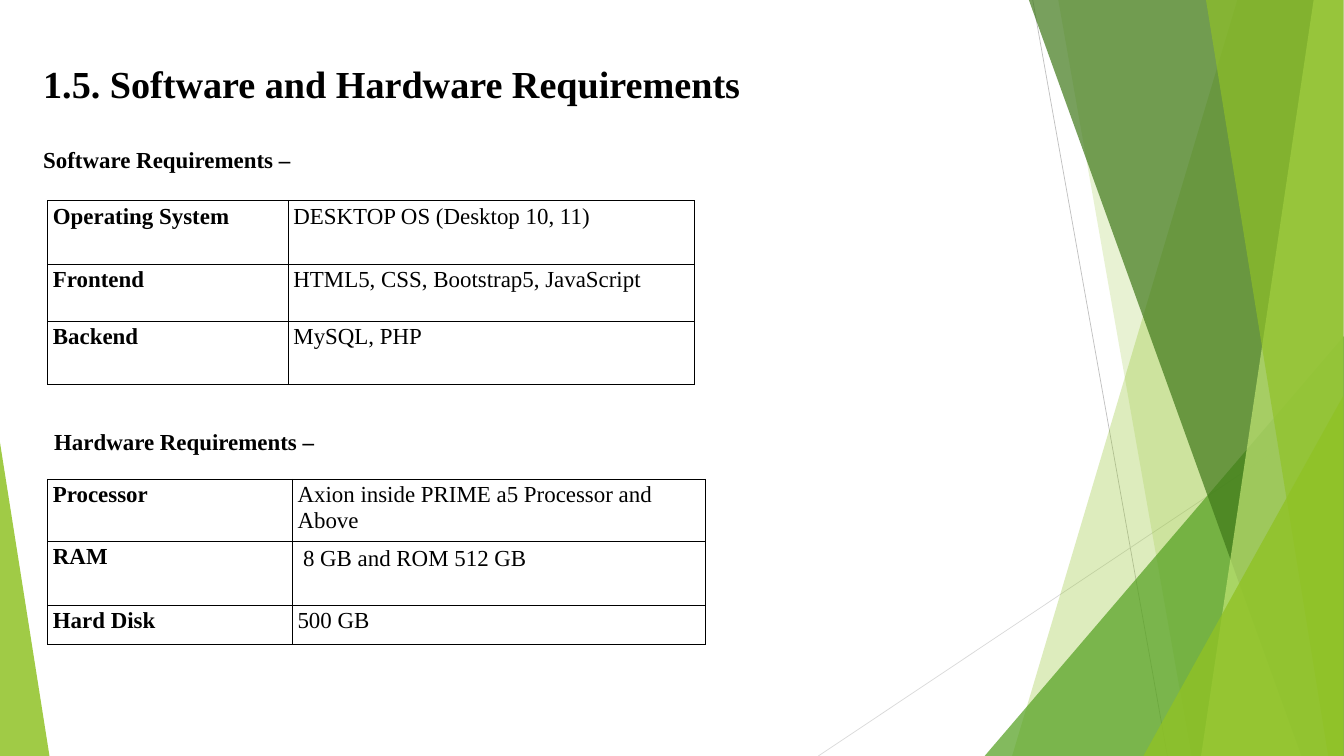
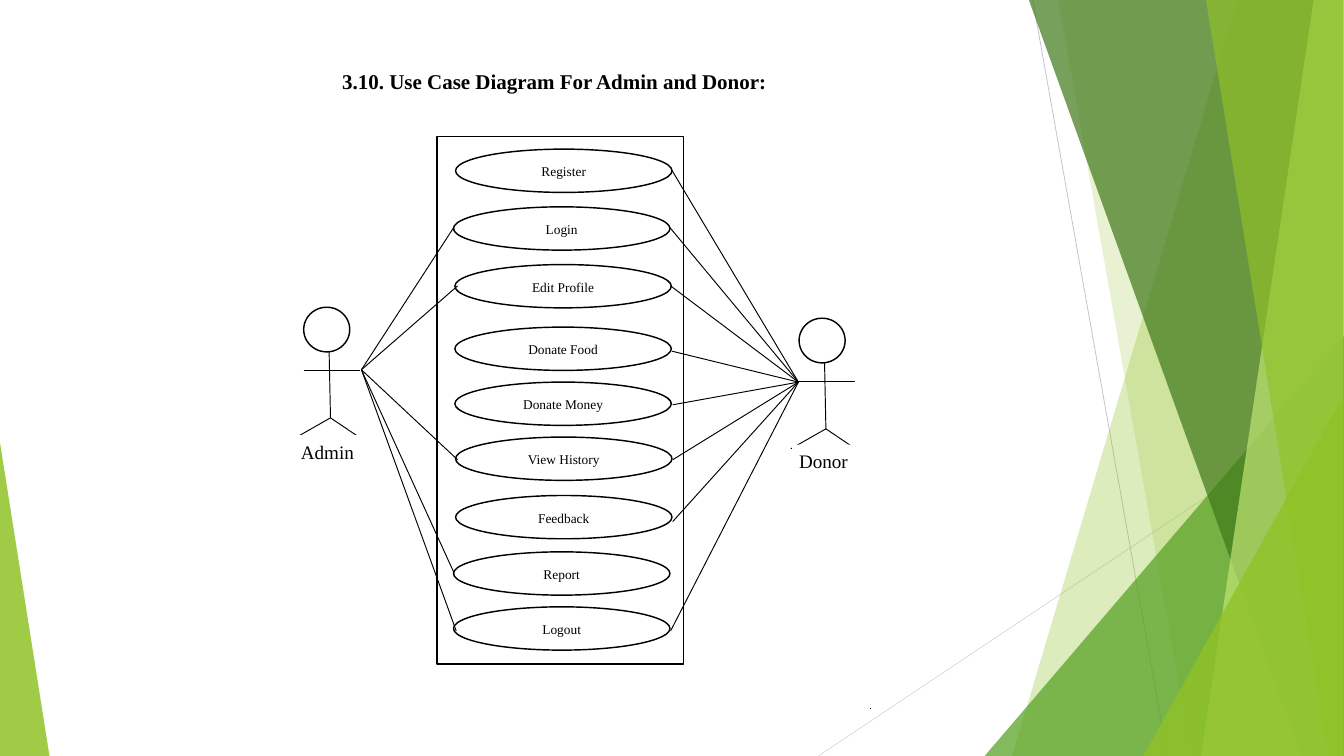
from lxml.etree import SubElement
from pptx import Presentation
from pptx.dml.color import RGBColor
from pptx.enum.shapes import MSO_CONNECTOR, MSO_SHAPE
from pptx.enum.text import MSO_ANCHOR, PP_ALIGN
from pptx.oxml import parse_xml
from pptx.oxml.ns import nsdecls, qn
from pptx.util import Pt

PX = 9144  # 100 px to the inch
WIDTH, HEIGHT = 1956, 1100


class Theme:
    font = "Times New Roman"
    black, white = "000000", "FFFFFF"
    green, leaf, forest, lime = "90C226", "54A021", "3F7819", "C0E474"
    rule_dark, rule_light = "BFBFBF", "D9D9D9"
    title, body, heading, actor, case = 40, 24, 22, 20, 14
    outline, link, hairline, border, dot = 1.5, 1, 0.75, 0.45, 1.05


# Backdrop: lines, then bands (top x, bottom x) and triangles (box, apex)
RULES = [((1503, 0), (1699, 1100), Theme.rule_dark),
         ((1955, 590), (1191, 1100), Theme.rule_light)]
BACKDROP = [
    ("band", (1801, 1473), Theme.green, 30),
    ("band", (1540, 1734), Theme.green, 20),
    ("triangle", ((1433, 489, 523, 611), 1), Theme.leaf, 72),
    ("band", (1497, 1894), Theme.forest, 70),
    ("band", (1912, 1748), Theme.lime, 70),
    ("band", (1755, 1933), Theme.green, 65),
    ("triangle", ((1664, 576, 291, 524), 1), Theme.green, 80),
    ("triangle", ((0, 644, 72, 456), 0), Theme.green, 85),
]

# Requirements slide
TITLE = "1.5. Software and Hardware Requirements"
SOFTWARE = "Software Requirements –"
HARDWARE = "Hardware Requirements –"
TABLES = [
    {"at": (69, 292), "cols": (350, 592), "rows": (92, 83, 92),
     "cells": [("Operating System", "DESKTOP OS (Desktop 10, 11)"),
               ("Frontend", "HTML5, CSS, Bootstrap5, JavaScript"),
               ("Backend", "MySQL, PHP")]},
    {"at": (69, 697), "cols": (356, 602), "rows": (86, 93, 58),
     "cells": [("Processor", "Axion inside PRIME a5 Processor and Above"),
               ("RAM", "8 GB and ROM 512 GB"),
               ("Hard Disk", "500 GB")]},
]
INDENTED = {"8 GB and ROM 512 GB": 8}

# Use case slide
USE_CASE_TITLE = "3.10. Use Case Diagram For Admin and Donor:"
SYSTEM = (636, 199, 359, 767)
CASE_SIZE = (315, 63)
ADMIN_HAND, DONOR_HAND = (526, 538), (1162, 556)
USE_CASES = [  # name, position, end of admin link, end of donor link
    ("Register", (663, 217), None, (978, 248)),
    ("Login", (660, 301), (661, 330), (974, 330)),
    ("Edit Profile", (662, 385), (666, 416), (976, 416)),
    ("Donate Food", (662, 476), None, (978, 511)),
    ("Donate Money", (662, 556), None, (979, 589)),
    ("View History", (663, 636), (666, 669), (979, 669)),
    ("Feedback", (663, 721), None, (979, 759)),
    ("Report", (660, 803), (661, 834), None),
    ("Logout", (660, 883), (664, 918), (976, 918)),
]
ACTORS = [("Admin", (442, 447), (428, 633)), ("Donor", (1163, 463), (1153, 647))]
HEAD = (67, 65)
LABEL = (125, 47)
LIMBS = [((37, 65), (39, 161)), ((0, 92), (82, 92)),
         ((39, 161), (-12, 190)), ((39, 161), (82, 190))]
DOT = ((1266, 1031), (1267, 1031))


def emu(*values):
    return [int(v * PX) for v in values]


def rgb(color):
    return RGBColor.from_string(color)


def apply(obj, formats):
    for name, value in formats.items():
        setattr(obj, name, value)


def write(p, text, size, bold=False, **formats):
    r = p.add_run()
    r.text = text
    apply(r.font, {"name": Theme.font, "size": Pt(size), "bold": bold})
    r.font.color.rgb = rgb(Theme.black)
    apply(p, formats)


def paint(sp, fill, alpha=100, line=None):
    sp.shadow.inherit = False
    sp.fill.solid()
    sp.fill.fore_color.rgb = rgb(fill)
    if alpha < 100:
        clr = sp.element.spPr.find(qn("a:solidFill")).find(qn("a:srgbClr"))
        SubElement(clr, qn("a:alpha"), val=str(alpha * 1000))
    if line:
        sp.line.color.rgb = rgb(Theme.black)
        sp.line.width = Pt(line)
    else:
        sp.line.fill.background()


def shape(slide, kind, box, fill=Theme.white, **style):
    sp = slide.shapes.add_shape(kind, *emu(*box))
    paint(sp, fill, **style)
    return sp


def line(slide, start, end, color=Theme.black, width=Theme.link):
    c = slide.shapes.add_connector(MSO_CONNECTOR.STRAIGHT, *emu(*start, *end))
    c.line.color.rgb = rgb(color)
    c.line.width = Pt(width)
    SubElement(c.element.spPr, qn("a:effectLst"))


def text_box(slide, box, margins=(10, 5, 10, 5)):
    tf = slide.shapes.add_textbox(*emu(*box)).text_frame
    tf.word_wrap = True
    sides = ("margin_left", "margin_top", "margin_right", "margin_bottom")
    apply(tf, dict(zip(sides, emu(*margins))))
    return tf


def backdrop(slide, layout):
    """Draw the green bands once and hand them to the layout."""
    for start, end, color in RULES:
        line(slide, start, end, color, Theme.hairline)
    for kind, geometry, color, alpha in BACKDROP:
        if kind == "triangle":
            box, apex = geometry
            sp = shape(slide, MSO_SHAPE.ISOSCELES_TRIANGLE, box, color, alpha=alpha)
            sp.adjustments[0] = apex
        else:
            top, bottom = geometry
            fb = slide.shapes.build_freeform(top, -1, scale=PX)
            fb.add_line_segments([(1955, -1), (1955, HEIGHT), (bottom, HEIGHT)])
            paint(fb.convert_to_shape(), color, alpha)
    for ph in list(layout.placeholders):
        ph.element.getparent().remove(ph.element)
    for sp in list(slide.shapes):
        layout.shapes.element.append(sp.element)


def border(cell):
    tc_pr = cell._tc.get_or_add_tcPr()
    for i, side in enumerate(("lnL", "lnR", "lnT", "lnB")):
        tc_pr.insert(i, parse_xml(
            f'<a:{side} {nsdecls("a")} w="{int(Pt(Theme.border))}"><a:solidFill>'
            f'<a:srgbClr val="{Theme.black}"/></a:solidFill></a:{side}>'))


def table(slide, at, cols, rows, cells):
    frame = slide.shapes.add_table(len(rows), len(cols),
                                   *emu(*at, sum(cols), sum(rows)))
    tbl = frame.table
    apply(tbl, {"first_row": False, "horz_banding": False})
    for col, width in zip(tbl.columns, emu(*cols)):
        col.width = width
    for row, height, texts in zip(tbl.rows, emu(*rows), cells):
        row.height = height
        for i, (cell, text) in enumerate(zip(row.cells, texts)):
            apply(cell, {"margin_left": 8 * PX, "margin_right": 8 * PX,
                         "margin_top": 5 * PX, "margin_bottom": 5 * PX})
            p = cell.text_frame.paragraphs[0]
            write(p, text, Theme.body, bold=i == 0)
            if text in INDENTED:
                p.line_spacing = 1.07
                p._p.get_or_add_pPr().set("marL", str(INDENTED[text] * PX))
            cell.fill.background()
            border(cell)


def requirements(slide):
    tf = text_box(slide, (53, 83, 1858, 217))
    write(tf.paragraphs[0], TITLE, Theme.title, True)
    write(tf.add_paragraph(), SOFTWARE, Theme.body, True, space_before=Pt(41))
    table(slide, **TABLES[0])
    tf = text_box(slide, (69, 617, 892, 90))
    write(tf.paragraphs[0], HARDWARE, Theme.body, True)
    table(slide, **TABLES[1])


def use_cases(slide):
    label_format = {"line_spacing": 1.07, "space_after": Pt(8)}
    line(slide, *DOT, width=Theme.dot)
    tf = text_box(slide, (497, 100, 677, 37), (1, 0, 0, 0))
    write(tf.paragraphs[0], USE_CASE_TITLE, Theme.heading, True)
    shape(slide, MSO_SHAPE.RECTANGLE, SYSTEM, line=Theme.outline)

    # Use cases, then the links over them
    for name, at, _, _ in USE_CASES:
        sp = shape(slide, MSO_SHAPE.OVAL, (*at, *CASE_SIZE), line=Theme.outline)
        tf = sp.text_frame
        apply(tf, {"word_wrap": True, "vertical_anchor": MSO_ANCHOR.MIDDLE})
        write(tf.paragraphs[0], name, Theme.case,
              alignment=PP_ALIGN.CENTER, **label_format)
    for _, _, *ends in USE_CASES:
        for hand, end in zip((ADMIN_HAND, DONOR_HAND), ends):
            if end:
                line(slide, hand, end)

    # Stick figures
    for name, (x, y), label_at in ACTORS:
        shape(slide, MSO_SHAPE.OVAL, (x, y, *HEAD), line=Theme.outline)
        for (x1, y1), (x2, y2) in LIMBS:
            line(slide, (x + x1, y + y1), (x + x2, y + y2))
        tf = shape(slide, MSO_SHAPE.RECTANGLE, (*label_at, *LABEL)).text_frame
        apply(tf, {"word_wrap": True, "vertical_anchor": MSO_ANCHOR.TOP})
        write(tf.paragraphs[0], name, Theme.actor,
              alignment=PP_ALIGN.LEFT, **label_format)


def main():
    prs = Presentation()
    prs.slide_width, prs.slide_height = emu(WIDTH, HEIGHT)
    blank = prs.slide_layouts[6]
    for i, build in enumerate((requirements, use_cases)):
        slide = prs.slides.add_slide(blank)
        if i == 0:
            backdrop(slide, blank)
        build(slide)
    prs.save("out.pptx")


if __name__ == "__main__":
    main()
